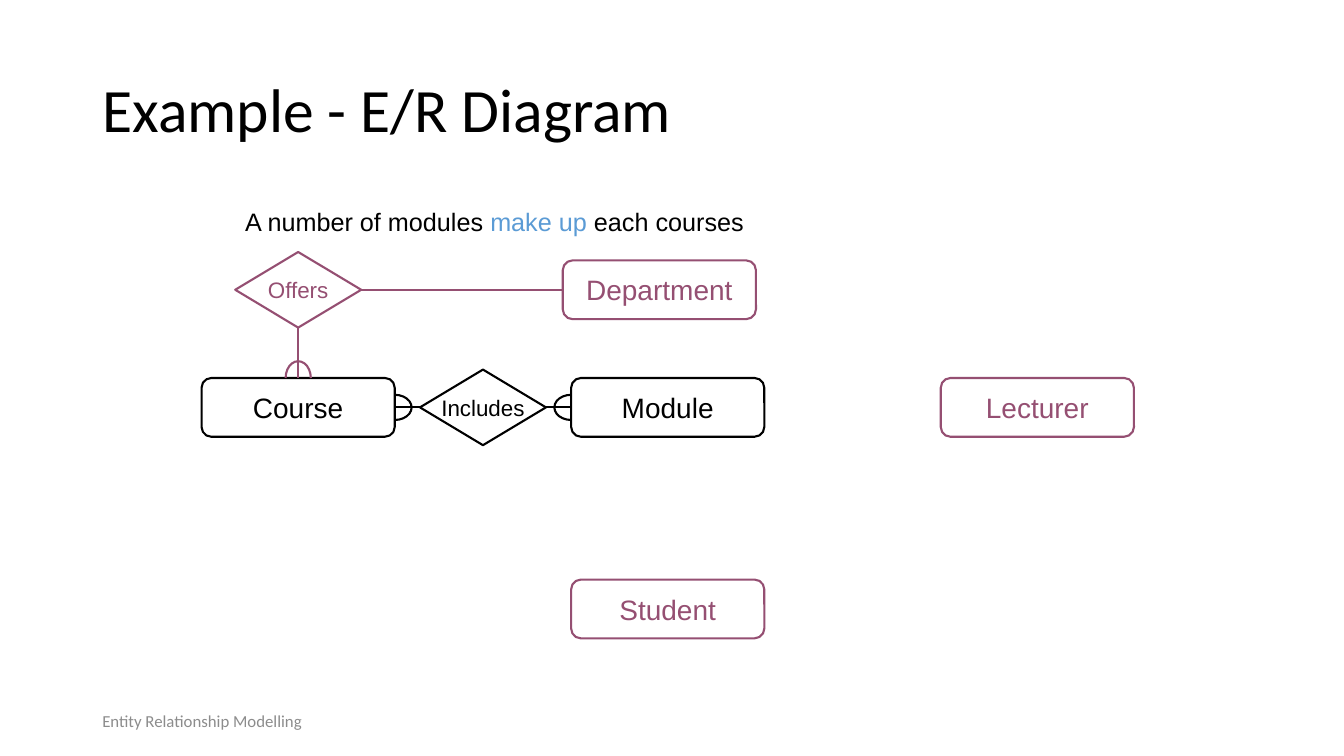
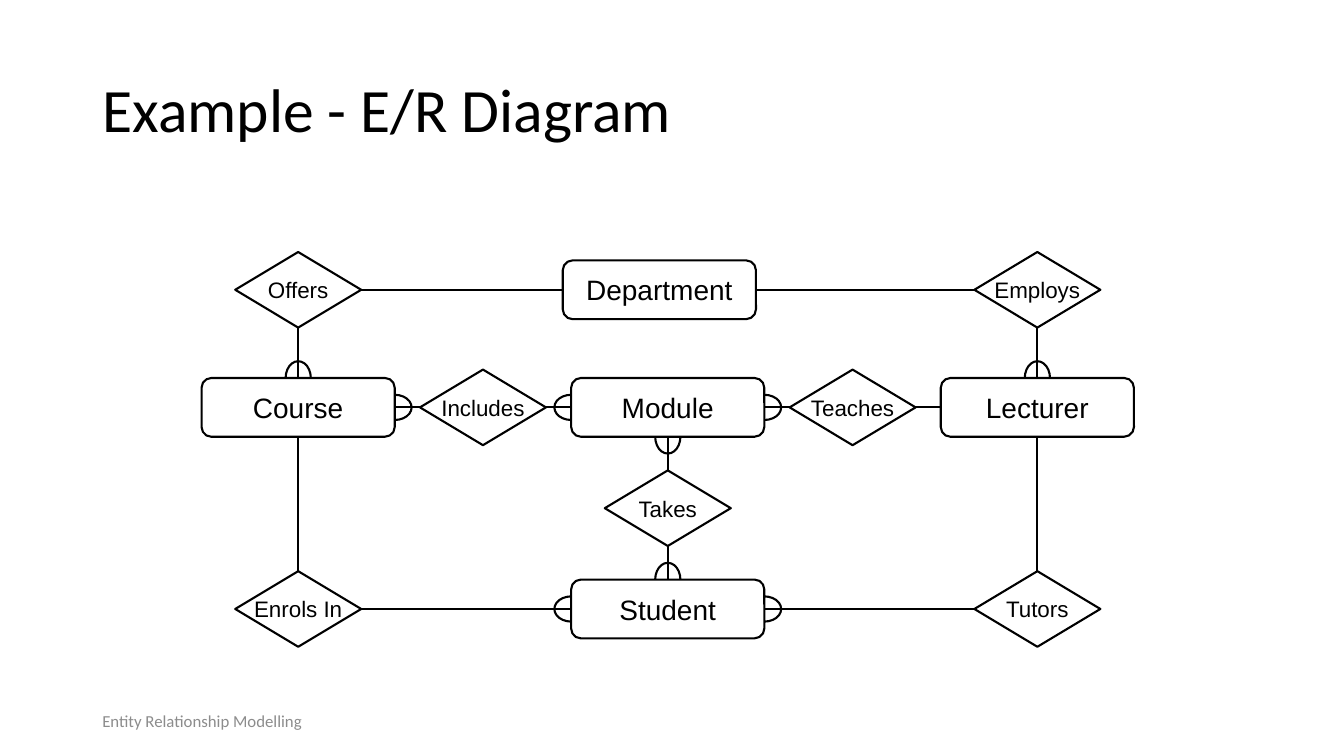
from collections import namedtuple

from lxml import etree
from pptx import Presentation
from pptx.dml.color import RGBColor
from pptx.enum.shapes import MSO_CONNECTOR, MSO_SHAPE
from pptx.enum.text import MSO_ANCHOR, PP_ALIGN
from pptx.oxml.ns import qn
from pptx.util import Pt

EMU_PER_PX = 9525
BLACK = RGBColor(0x00, 0x00, 0x00)
PLUM = RGBColor(0x95, 0x4F, 0x72)
BLUE = RGBColor(0x5B, 0x9B, 0xD5)
GREY = RGBColor(0x8C, 0x8C, 0x8C)
LINE_WIDTH = Pt(1.5)

TOP, LEFT, BOTTOM, RIGHT = range(4)
SIDE_DIRECTIONS = [(0, -1), (-1, 0), (0, 1), (1, 0)]
ENTITY_SIZE = (184, 56)
RELATION_SIZE = (120, 72)
MARK_DEPTH, MARK_HALF_WIDTH = 16, 12

Link = namedtuple("Link", "entity side many")

ENTITIES = {
    "Module": (544, 360),
    "Course": (192, 360),
    "Department": (536, 248),
    "Student": (544, 552),
    "Lecturer": (896, 360),
}
RELATIONS = {
    "Includes": ((400, 352), [Link("Course", RIGHT, True), Link("Module", LEFT, True)]),
    "Offers": ((224, 240), [Link("Department", LEFT, False), Link("Course", TOP, True)]),
    "Tutors": ((928, 544), [Link("Student", RIGHT, True), Link("Lecturer", BOTTOM, False)]),
    "Enrols In": ((224, 544), [Link("Course", BOTTOM, False), Link("Student", LEFT, True)]),
    "Takes": ((576, 448), [Link("Module", BOTTOM, True), Link("Student", TOP, True)]),
    "Employs": ((928, 240), [Link("Department", RIGHT, False), Link("Lecturer", TOP, True)]),
    "Teaches": ((752, 352), [Link("Module", RIGHT, True), Link("Lecturer", LEFT, False)]),
}


def px(*lengths):
    return [length * EMU_PER_PX for length in lengths]


def style_font(paragraph, name, size, color):
    paragraph.font.name = name
    paragraph.font.size = Pt(size)
    paragraph.font.color.rgb = color


def style_outline(shape, color):
    shape.shadow.inherit = False
    shape.fill.background()
    shape.line.color.rgb = color
    shape.line.width = LINE_WIDTH


def add_text(slide, box, runs, font, size, color, anchor=MSO_ANCHOR.TOP):
    """Add a text box; runs are (text, own color or None) pairs."""
    frame = slide.shapes.add_textbox(*px(*box)).text_frame
    frame.word_wrap = True
    frame.vertical_anchor = anchor
    paragraph = frame.paragraphs[0]
    style_font(paragraph, font, size, color)
    for text, run_color in runs:
        run = paragraph.add_run()
        run.text = text
        if run_color is not None:
            run.font.color.rgb = run_color


def add_diagram_slide(presentation):
    """Add a slide with the shared title and footer."""
    slide = presentation.slides.add_slide(presentation.slide_layouts[5])
    title = slide.shapes.title
    title.left, title.top, title.width, title.height = px(88, 38, 1104, 139)
    title.text_frame.text = "Example - E/R Diagram"
    title.text_frame.vertical_anchor = MSO_ANCHOR.MIDDLE
    paragraph = title.text_frame.paragraphs[0]
    paragraph.alignment = PP_ALIGN.LEFT
    paragraph.line_spacing = 0.9
    style_font(paragraph, "Calibri", 44, BLACK)
    add_text(slide, (88, 667, 288, 38), [("Entity Relationship Modelling", None)],
             "Calibri", 12, GREY, MSO_ANCHOR.MIDDLE)
    return slide


def add_node(slide, preset, position, size, label, font_size, color):
    shape = slide.shapes.add_shape(preset, *px(*position, *size))
    style_outline(shape, color)
    frame = shape.text_frame
    frame.word_wrap = False
    frame.vertical_anchor = MSO_ANCHOR.MIDDLE
    frame.text = label
    paragraph = frame.paragraphs[0]
    paragraph.alignment = PP_ALIGN.CENTER
    style_font(paragraph, "Arial", font_size, color)
    return shape


def add_link(slide, relation, entity, side, color):
    """Join one side of an entity to the facing corner of a relation."""
    connector = slide.shapes.add_connector(MSO_CONNECTOR.STRAIGHT, 0, 0, 0, 0)
    connector.begin_connect(relation, (side + 2) % 4)
    connector.end_connect(entity, side)
    connector.line.color.rgb = color
    connector.line.width = LINE_WIDTH
    etree.SubElement(connector._element.spPr, qn("a:effectLst"))


def add_many_mark(slide, position, side, color):
    """Draw the half ellipse that stands for "many" on one side of an entity."""
    center_x, center_y = [
        start + length * (1 + direction) // 2
        for start, length, direction in zip(position, ENTITY_SIZE, SIDE_DIRECTIONS[side])
    ]
    radius_x, radius_y = MARK_DEPTH, MARK_HALF_WIDTH
    if side in (TOP, BOTTOM):
        radius_x, radius_y = radius_y, radius_x
    arc = slide.shapes.add_shape(MSO_SHAPE.ARC, *px(
        center_x - radius_x, center_y - radius_y, 2 * radius_x, 2 * radius_y))
    start_angle = (180 - 90 * side) % 360
    # Angles count 60000 to the degree; adjustments are scaled by 100000.
    arc.adjustments[0] = start_angle * 0.6
    arc.adjustments[1] = (start_angle + 180) % 360 * 0.6
    style_outline(arc, color)


def draw_diagram(slide, relation_names, color_of):
    entities = {}
    for name, position in ENTITIES.items():
        entities[name] = add_node(slide, MSO_SHAPE.ROUNDED_RECTANGLE, position,
                                  ENTITY_SIZE, name, 20, color_of(name))
    for name in relation_names:
        position, links = RELATIONS[name]
        color = color_of(name)
        relation = add_node(slide, MSO_SHAPE.DIAMOND, position,
                            RELATION_SIZE, name, 16, color)
        for link in links:
            add_link(slide, relation, entities[link.entity], link.side, color)
            if link.many:
                add_many_mark(slide, ENTITIES[link.entity], link.side, color)


def main():
    presentation = Presentation()
    presentation.slide_width, presentation.slide_height = px(1280, 720)

    slide = add_diagram_slide(presentation)
    current = {"Course", "Includes", "Module"}
    draw_diagram(slide, ["Includes", "Offers"],
                 lambda name: BLACK if name in current else PLUM)
    add_text(slide, (224, 192, 832, 38),
             [("A number of modules ", None), ("make up", BLUE), (" each courses", None)],
             "Arial", 18, BLACK)

    slide = add_diagram_slide(presentation)
    draw_diagram(slide, RELATIONS, lambda name: BLACK)

    presentation.save("out.pptx")


if __name__ == "__main__":
    main()
